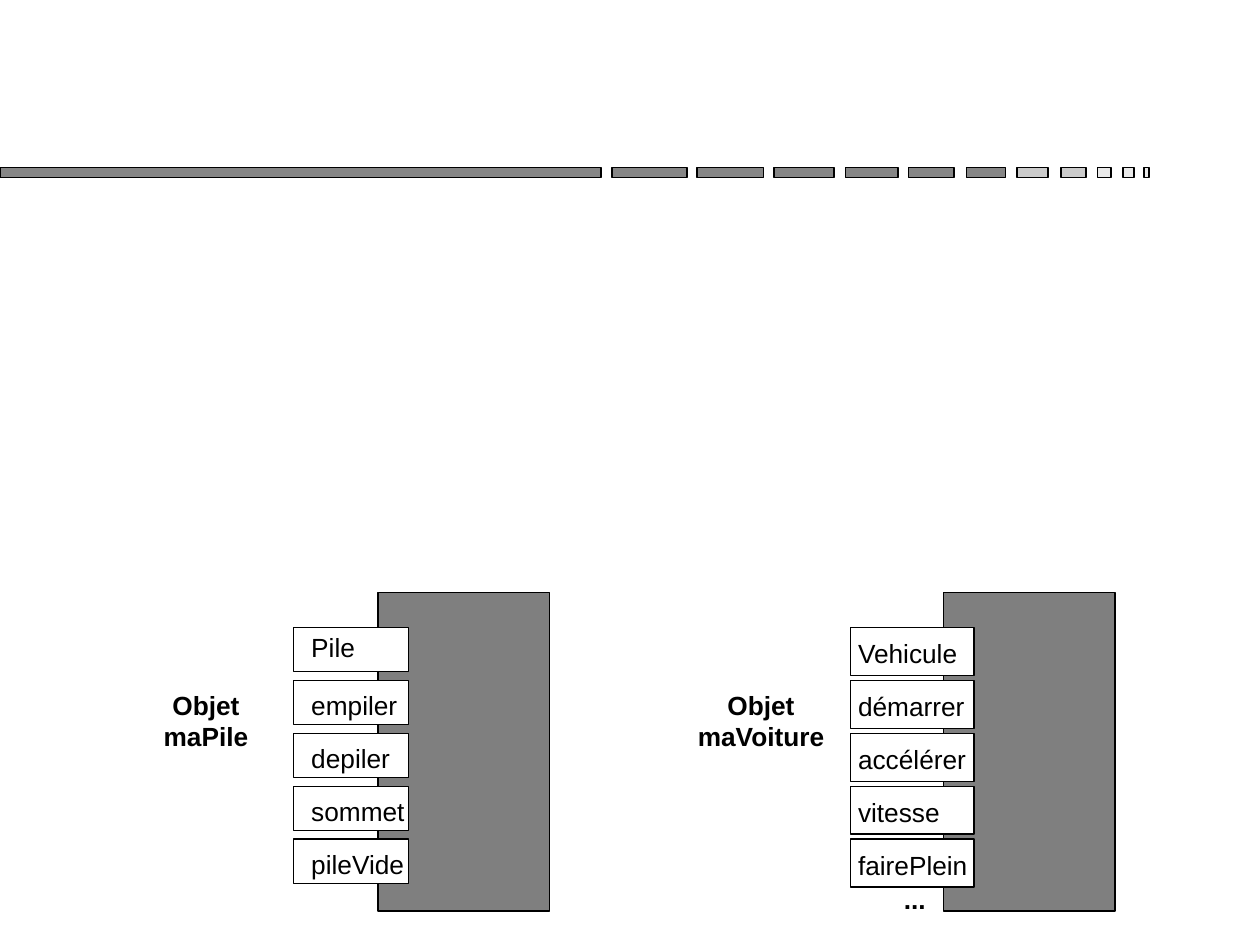
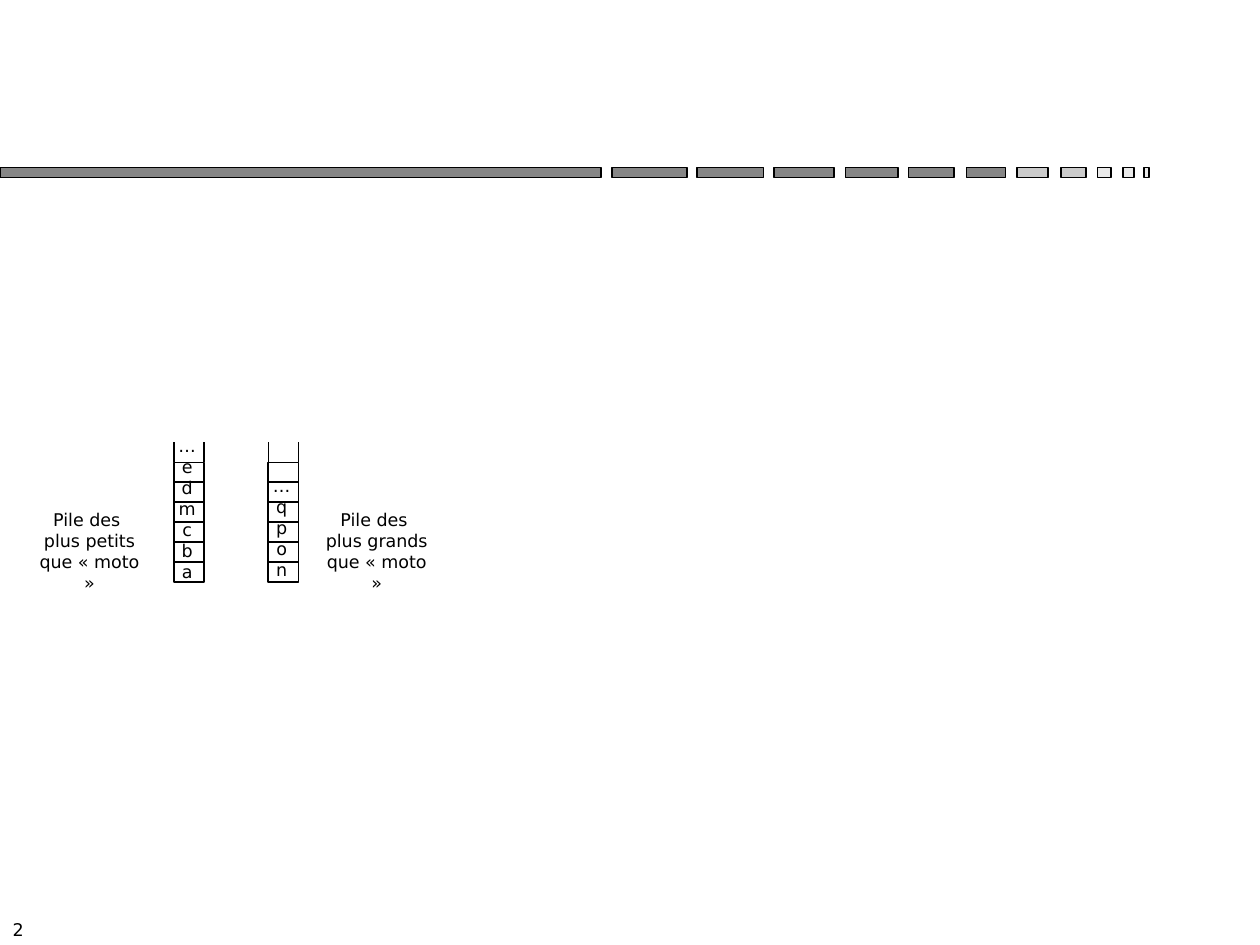
import pptx
import pptx.util
import pptx.dml.color
import pptx.enum.shapes
import pptx.enum.text
import pptx.oxml
import pptx.oxml.ns

Inches = pptx.util.Inches
Pt = pptx.util.Pt
RGB = pptx.dml.color.RGBColor.from_string
ALIGN = pptx.enum.text.PP_ALIGN
ANCHOR = pptx.enum.text.MSO_ANCHOR

COLORS = {
    "black": "000000",
    "white": "FFFFFF",
    "object": "7F7F7F",
    "dark": "868686",
    "mid": "CBCBCB",
    "light": "EAEAEA",
}

BAND_TOP, BAND_HEIGHT = 1.33, 0.08
BAND = [  # left, width, colour
    (0, 4.77, "dark"), (4.86, 0.59, "dark"), (5.53, 0.53, "dark"),
    (6.14, 0.48, "dark"), (6.71, 0.42, "dark"), (7.21, 0.36, "dark"),
    (7.67, 0.31, "dark"), (8.07, 0.25, "mid"), (8.42, 0.2, "mid"),
    (8.71, 0.11, "light"), (8.91, 0.09, "light"), (9.08, 0.04, "light"),
]


def add_box(s, left, top, width, height, fill="white", line=0):
    sp = s.shapes.add_shape(pptx.enum.shapes.MSO_SHAPE.RECTANGLE, Inches(left),
                            Inches(top), Inches(width), Inches(height))
    sp.shadow.inherit = False
    sp.fill.solid()
    sp.fill.fore_color.rgb = RGB(COLORS[fill])
    sp.line.color.rgb = RGB(COLORS["black"])
    sp.line.width = Pt(line)


def add_text(s, text, left, top, width, height=0.25, size=15, font="Arial",
             bold=False, align=ALIGN.LEFT, anchor=ANCHOR.TOP):
    """Add a text box without insets; each line of text is a paragraph."""
    sp = s.shapes.add_textbox(Inches(left), Inches(top), Inches(width), Inches(height))
    tf = sp.text_frame
    tf.word_wrap = True
    tf.vertical_anchor = anchor
    tf.margin_left = tf.margin_right = tf.margin_top = tf.margin_bottom = 0
    tf.text = text
    for p in tf.paragraphs:
        p.alignment = align
        for r in p.runs:
            r.font.name = font
            r.font.size = Pt(size)
            r.font.bold = bold
            r.font.color.rgb = RGB(COLORS["black"])


prs = pptx.Presentation()
prs.slide_width, prs.slide_height = Inches(10), Inches(7.5)
slides = [prs.slides.add_slide(prs.slide_layouts[6]) for _ in range(2)]
for s in slides:
    for left, width, color in BAND:
        add_box(s, left, BAND_TOP, width, BAND_HEIGHT, color, line=1)

# Slide 1: two objects with their methods
s = slides[0]
METHOD_TOP, METHOD_PITCH = 4.98, 0.42
objects = [
    dict(name="maPile", center=1.635, body=3.0, left=2.33, width=0.91, height=0.35,
         text_left=2.47, text_drops=[0.03] + [0.07] * 4,
         methods=["Pile", "empiler", "depiler", "sommet", "pileVide"]),
    dict(name="maVoiture", center=6.04, body=7.49, left=6.75, width=0.98, height=0.38,
         text_left=6.81, text_drops=[0.08] * 5,
         methods=["Vehicule", "démarrer", "accélérer", "vitesse", "fairePlein"]),
]
for o in objects:
    add_box(s, o["body"], 4.7, 1.36, 2.53, "object")
    for i, (method, drop) in enumerate(zip(o["methods"], o["text_drops"])):
        top = METHOD_TOP + i * METHOD_PITCH
        add_box(s, o["left"], top, o["width"], o["height"])
        add_text(s, method, o["text_left"], top + drop, 0.95)
    for title, top in (("Objet", 5.47), (o["name"], 5.72)):
        add_text(s, title, o["center"] - 0.6, top, 1.2, bold=True, align=ALIGN.CENTER)
add_text(s, "...", 7.11, 7.01, 0.3, bold=True, align=ALIGN.CENTER)

# Slide 2: two stacks of words around « moto »
s = slides[1]
SMALL = dict(size=10, font="DejaVu Sans")
CELL_COUNT, STACK_TOP, STACK_HEIGHT, CELL_WIDTH = 6, 3.67, 0.95, 0.24
CELL_HEIGHT = STACK_HEIGHT / CELL_COUNT
stacks = [  # left, letters, top of letters, label, left of label
    (1.38, "…edmcba", 3.45, "Pile des \nplus petits\nque « moto »", 0.29),
    (2.13, "…qpon", 3.77, "Pile des \nplus grands\nque « moto »", 2.57),
]
for left, letters, letters_top, label, label_left in stacks:
    for i in range(CELL_COUNT):
        add_box(s, left, STACK_TOP + i * CELL_HEIGHT, CELL_WIDTH, CELL_HEIGHT, line=1)
    for x in (left, left + CELL_WIDTH):
        c = s.shapes.add_connector(pptx.enum.shapes.MSO_CONNECTOR.STRAIGHT, Inches(x),
                                   Inches(STACK_TOP), Inches(x), Inches(3.51))
        c.line.color.rgb = RGB(COLORS["black"])
        c.line.width = Pt(1)
        c._element.spPr.append(pptx.oxml.parse_xml(
            "<a:effectLst %s/>" % pptx.oxml.ns.nsdecls("a")))
    add_text(s, "\n".join(letters), left - 0.05, letters_top, 0.31,
             len(letters) * 0.17, align=ALIGN.CENTER, **SMALL)
    add_text(s, label, label_left, 4.04, 0.84, 0.66, align=ALIGN.CENTER, **SMALL)
add_text(s, "2", 0.1, 7.25, 0.3, anchor=ANCHOR.MIDDLE, **SMALL)

prs.save("out.pptx")
